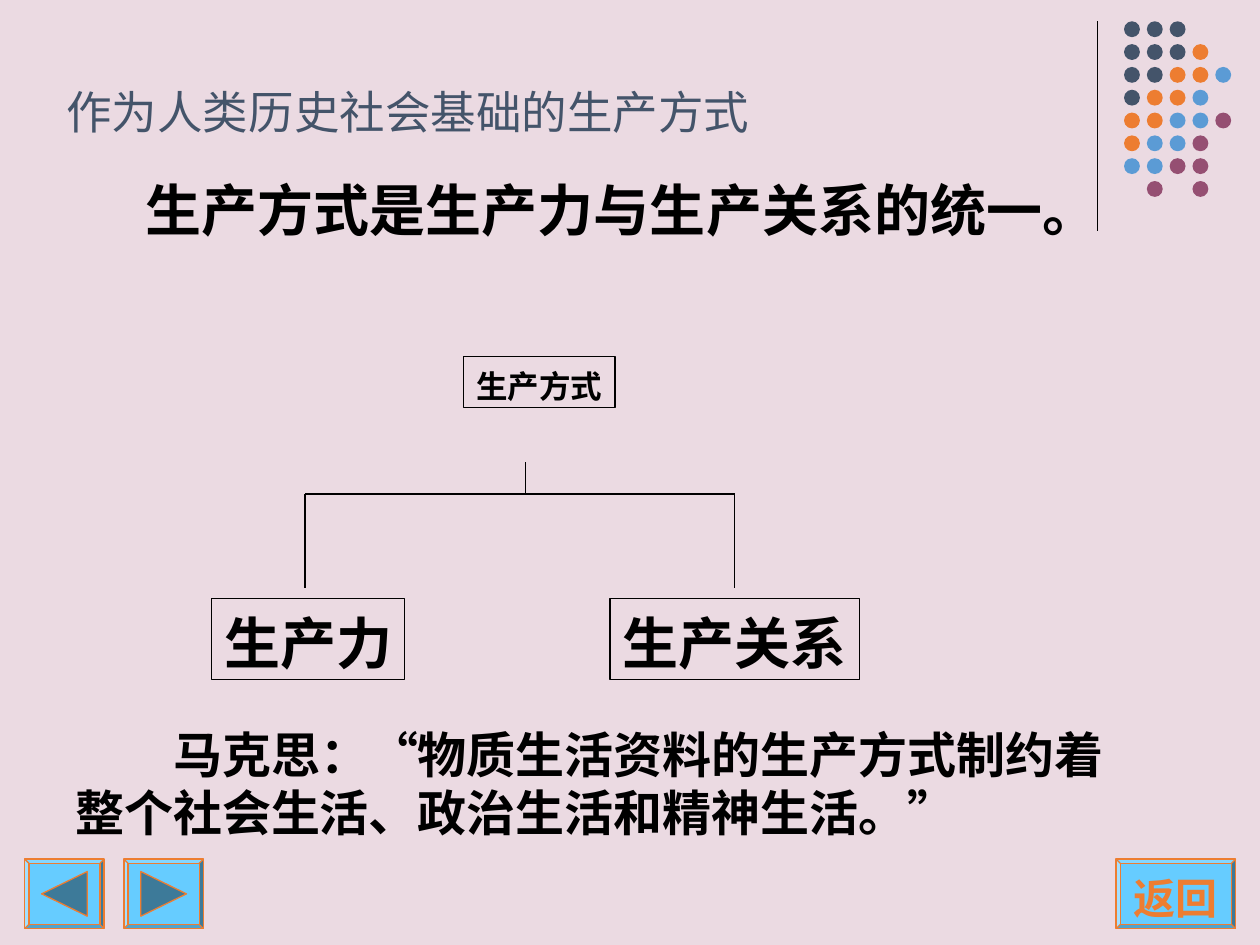
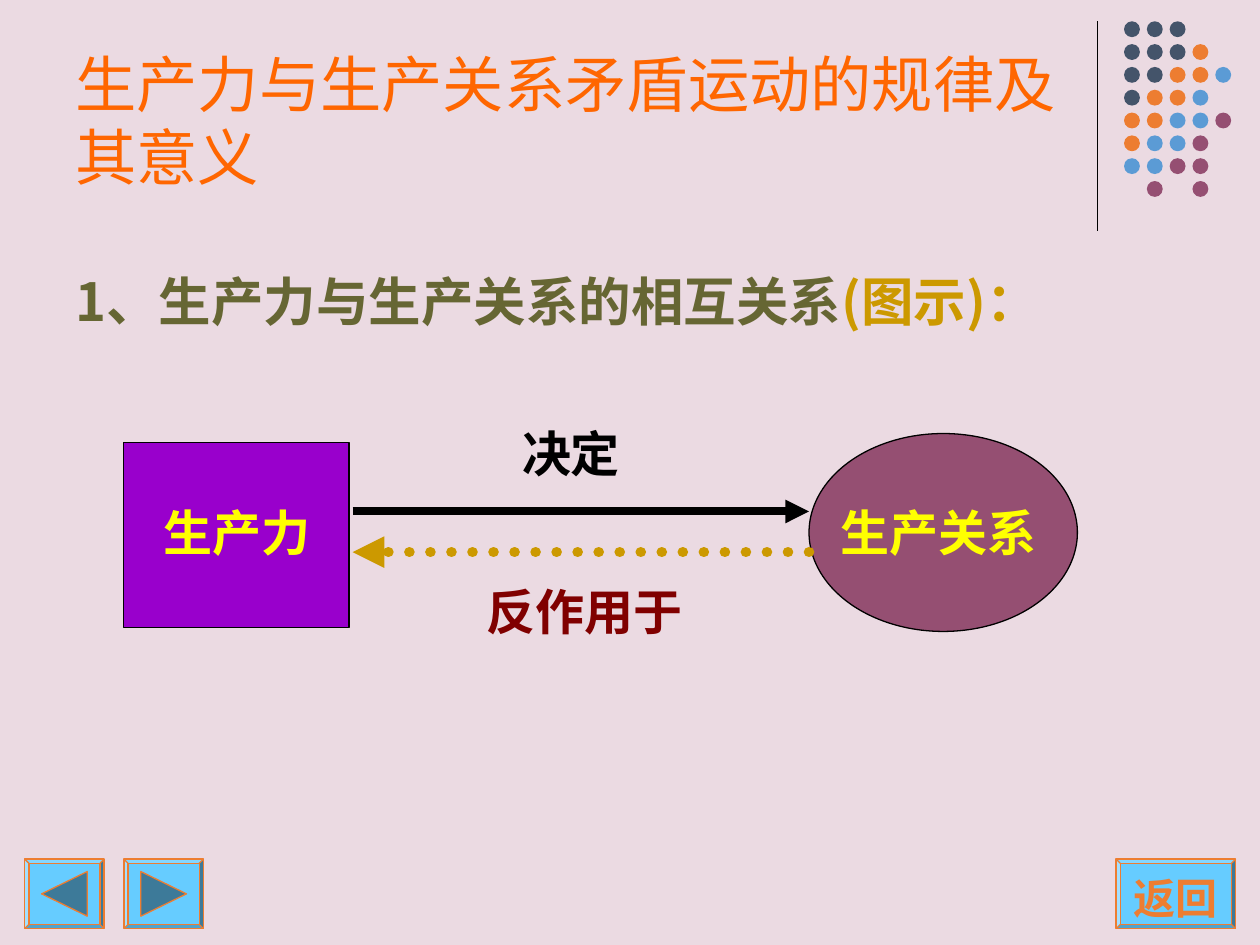
import pptx
import pptx.util
import pptx.dml.color
import pptx.enum.shapes
import pptx.enum.text
import pptx.oxml
import pptx.oxml.ns
from lxml import etree

Cm = pptx.util.Cm
Pt = pptx.util.Pt
FORM = pptx.enum.shapes.MSO_SHAPE
ALIGN = pptx.enum.text.PP_ALIGN
ANCHOR = pptx.enum.text.MSO_ANCHOR

HUES = {
    "page": "EBDAE2", "black": "000000", "slate": "44546A", "orange": "ED7D31",
    "blue": "5B9BD5", "plum": "954F72", "sky": "66CCFF", "steel": "3D7A99",
    "flame": "FF6600", "olive": "666633", "gold": "CC9900", "violet": "9900CC",
    "yellow": "FFFF00", "maroon": "800000",
}
DOTS = ["sss", "ssso", "ssoob", "soob", "oobbp", "obbp", "bbpp", " p p"]
DOT_HUES = {"s": "slate", "o": "orange", "b": "blue", "p": "plum"}
SERIF, SANS = "Times New Roman", "Arial"
NOTO, NOTO_JP = "Noto Sans CJK SC", "Noto Sans CJK JP"


def tint(name):
    """Return the named colour."""
    return pptx.dml.color.RGBColor.from_string(HUES[name])


def span(box):
    """Turn a box in centimetres into lengths."""
    return [Cm(part) for part in box]


def node(parent, tag, **attrs):
    """Append a drawing element to a parent."""
    return etree.SubElement(parent, pptx.oxml.ns.qn(tag), attrs)


def paint(shape, fill=None, line=None):
    """Set the fill and outline of a shape."""
    shape.shadow.inherit = False
    if fill:
        shape.fill.solid()
        shape.fill.fore_color.rgb = tint(fill)
    else:
        shape.fill.background()
    if line:
        shape.line.color.rgb = tint(line)
        shape.line.width = Pt(0.75)
    else:
        shape.line.fill.background()


def form(slide, kind, box, fill=None, line=None):
    """Add a painted preset shape."""
    shape = slide.shapes.add_shape(kind, *span(box))
    paint(shape, fill, line)
    return shape


def write(shape, parts, size, bold=True, align=ALIGN.LEFT, anchor=ANCHOR.TOP, wrap=True):
    """Fill a shape with one paragraph of (text, font, hue) parts."""
    frame = shape.text_frame
    frame.auto_size = pptx.enum.text.MSO_AUTO_SIZE.NONE
    frame.word_wrap = wrap
    frame.vertical_anchor = anchor
    frame.margin_left = frame.margin_right = Cm(0.25)
    frame.margin_top, frame.margin_bottom = Cm(0.2), Cm(0.05)
    para = frame.paragraphs[0]
    para.alignment = align
    para.space_before = Pt(0)
    para.line_spacing = Pt(round(size * 1.2, 1))
    for text, face, hue in parts:
        run = para.add_run()
        run.text = text
        run.font.name = face
        run.font.size = Pt(size)
        run.font.bold = bold
        run.font.color.rgb = tint(hue)
        asian = face if face.startswith("Noto") else NOTO
        node(run.font._element, "a:ea", typeface=asian)
    return para


def note(slide, box, parts, size, **style):
    """Add a text box."""
    return write(slide.shapes.add_textbox(*span(box)), parts, size, **style)


def title(slide, box, text, face, hue, size):
    """Move and fill the title placeholder."""
    head = slide.shapes.title
    head.left, head.top, head.width, head.height = span(box)
    write(head, [(text, face, hue)], size, bold=False, anchor=ANCHOR.BOTTOM)


def line(slide, ends, hue="black", width=0.75, arrow=False, dotted=False):
    """Draw a straight line, with an arrowhead or dots if asked."""
    kind = pptx.enum.shapes.MSO_CONNECTOR.STRAIGHT
    link = slide.shapes.add_connector(kind, *span(ends))
    link.line.color.rgb = tint(hue)
    link.line.width = Pt(width)
    pen = link.line._get_or_add_ln()
    if dotted:
        pen.set("cap", "rnd")
        node(pen, "a:prstDash", val="sysDot")
        node(pen, "a:round")
    if arrow:
        node(pen, "a:tailEnd", type="triangle")
    node(link._element.spPr, "a:effectLst")


def dots(slide, x, y):
    """Draw the corner dot pattern."""
    for row, marks in enumerate(DOTS):
        for col, mark in enumerate(marks):
            if mark in DOT_HUES:
                box = (x + col * 0.46, y + row * 0.46, 0.32, 0.32)
                form(slide, FORM.OVAL, box, DOT_HUES[mark])


def button(slide, box):
    """Draw a bevelled button."""
    shape = form(slide, FORM.BEVEL, box, "sky", "orange")
    shape.adjustments[0] = 0.06
    return shape


def arrow(slide, box, back):
    """Draw a button with a triangle pointing back or on."""
    button(slide, box)
    x, y, w, h = box
    near, far = x + w / 2 - 0.46, x + w / 2 + 0.46
    tip, base = (near, far) if back else (far, near)
    mid = y + h / 2
    pen = slide.shapes.build_freeform(Cm(tip), Cm(mid))
    pen.add_line_segments([(Cm(base), Cm(mid - 0.45)), (Cm(base), Cm(mid + 0.45))])
    paint(pen.convert_to_shape(), "steel", "orange")


def decor(slide):
    """Draw the corner and buttons shared by all slides."""
    line(slide, (22.12, 0.43, 22.12, 4.65))
    dots(slide, 22.66, 0.43)
    arrow(slide, (0.5, 17.32, 1.6, 1.4), True)
    arrow(slide, (2.5, 17.32, 1.6, 1.4), False)
    home = button(slide, (22.5, 17.32, 2.41, 1.4))
    write(home, [("返回", NOTO_JP, "orange")], 24,
          align=ALIGN.CENTER, anchor=ANCHOR.MIDDLE, wrap=False)


def tree(slide, x, y):
    """Draw the mode of production and its two branches."""
    for box, text, face, size in [
        ((5.08, 0, 3.05, 1.02), "生产方式", SANS, 18),
        ((0, 4.88, 3.89, 1.63), "生产力", SERIF, 32),
        ((8.03, 4.88, 5.03, 1.63), "生产关系", SERIF, 32),
    ]:
        place = (x + box[0], y + box[1], *box[2:])
        shape = form(slide, FORM.RECTANGLE, place, line="black")
        write(shape, [(text, face, "black")], size, wrap=False)
    left, stem, right = x + 1.88, x + 6.32, x + 10.54
    bar, foot = y + 2.77, y + 4.67
    line(slide, (stem, y + 2.13, stem, bar))
    line(slide, (left, bar, right, bar))
    for branch in (left, right):
        line(slide, (branch, bar, branch, foot))


def cycle(slide, x, y):
    """Draw the two forces and the arrows between them."""
    form(slide, FORM.RECTANGLE, (x, y + 0.18, 4.55, 3.73), "violet", "black")
    form(slide, FORM.OVAL, (x + 13.82, y, 5.41, 3.99), "plum", "black")
    for dx, dy, wide, text, hue, align in [
        (0.2, 1.19, 4.19, "生产力", "yellow", ALIGN.CENTER),
        (14.2, 1.19, 5, "生产关系", "yellow", ALIGN.LEFT),
        (6.02, -0.41, 6, "决定", "black", ALIGN.CENTER),
        (4.8, 2.79, 9, "反作用于", "maroon", ALIGN.CENTER),
    ]:
        note(slide, (x + dx, y + dy, wide, 1.45), [(text, SERIF, hue)], 28, align=align)
    near, far = x + 4.62, x + 13.82
    line(slide, (far, y + 2.39, near, y + 2.39), "gold", 6, arrow=True, dotted=True)
    line(slide, (near, y + 1.57, far, y + 1.57), "black", 4.5, arrow=True)


def basis(deck):
    """Build the slide on the mode of production."""
    slide = deck.slides.add_slide(deck.slide_layouts[5])
    decor(slide)
    title(slide, (1.09, 0.71, 21.95, 2.13), "作为人类历史社会基础的生产方式", SANS, "slate", 26)
    note(slide, (2.69, 3.33, 19.71, 1.63),
         [("生产方式是生产力与生产关系的统一。", SERIF, "black")], 32, wrap=False)
    tree(slide, 4.27, 7.19)
    quote = [
        ("马克思：", SANS, "black"),
        ("“", SERIF, "black"),
        ("物质生活资料的生产方式制约着整个社会生活、政治生活和精神生活。", SANS, "black"),
        ("”", SERIF, "black"),
    ]
    para = note(slide, (1.27, 14.4, 21.79, 2.64), quote, 28)
    para._p.get_or_add_pPr().set("indent", str(Pt(56)))


def motion(deck):
    """Build the slide on how the two forces interact."""
    slide = deck.slides.add_slide(deck.slide_layouts[1])
    decor(slide)
    title(slide, (1.27, 0.33, 20.96, 3.61),
          "生产力与生产关系矛盾运动的规律及其意义", NOTO_JP, "flame", 35)
    body = slide.placeholders[1]
    body.left, body.top, body.width, body.height = span((1.27, 5.23, 22.86, 11.81))
    para = write(body, [("1、生产力与生产关系的相互关系", NOTO, "olive"),
                        ("(图示)：", NOTO, "gold")], 30)
    props = para._p.get_or_add_pPr()
    props.set("marL", str(Cm(1.47)))
    props.set("indent", str(Cm(-1.47)))
    node(props, "a:buNone")
    cycle(slide, 2.49, 8.74)


def main():
    """Build and save the deck."""
    deck = pptx.Presentation()
    deck.slide_width, deck.slide_height = Cm(25.4), Cm(19.05)
    fill = deck.slide_master.background.fill
    fill.solid()
    fill.fore_color.rgb = tint("page")
    basis(deck)
    motion(deck)
    deck.save("out.pptx")


if __name__ == "__main__":
    main()
